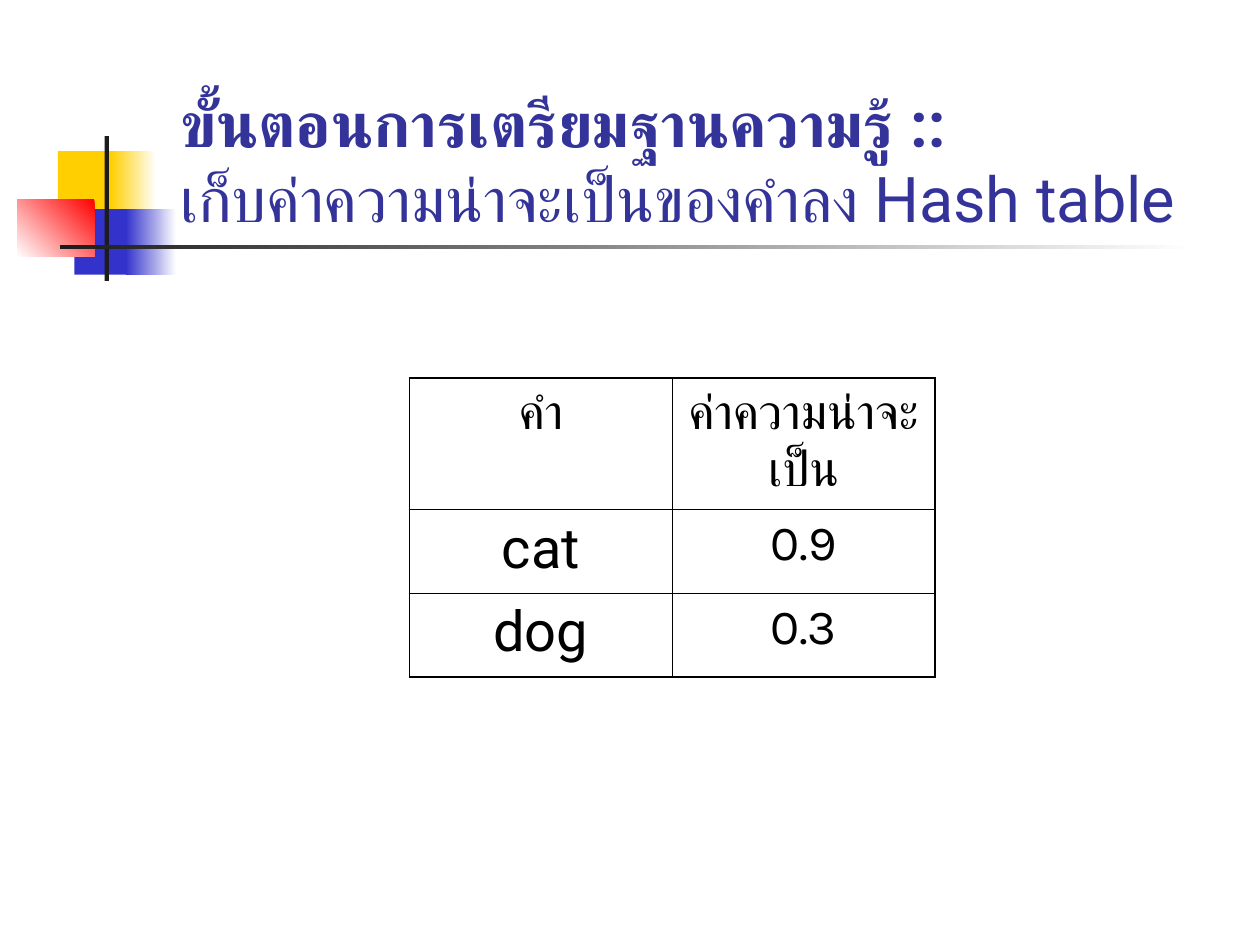
"""Build a slide on storing word probabilities in a hash table."""
from dataclasses import dataclass

from lxml import etree
from pptx import Presentation
from pptx.dml.color import RGBColor
from pptx.enum.shapes import MSO_SHAPE
from pptx.enum.text import MSO_ANCHOR, MSO_AUTO_SIZE, PP_ALIGN
from pptx.oxml.ns import qn
from pptx.util import Inches, Pt

RECTANGLE = MSO_SHAPE.RECTANGLE
LEFT, CENTER = PP_ALIGN.LEFT, PP_ALIGN.CENTER
BOTTOM, TOP = MSO_ANCHOR.BOTTOM, MSO_ANCHOR.TOP
NO_AUTOFIT = MSO_AUTO_SIZE.NONE
WIDTH, HEIGHT = Inches(10), Inches(7.5)
WHITE, YELLOW, BLUE, RED = "FFFFFF", "FFCF01", "3333CC", "FF0000"
DARK, BLACK, TITLE_BLUE = "1C1C1C", "000000", "333399"
OUTER_LINE, INNER_LINE = 1.08, 0.45


@dataclass(frozen=True)
class Box:
    """A rectangle given as shares of the slide's width and height."""
    left: float
    top: float
    width: float
    height: float

    def lengths(self) -> tuple[int, ...]:
        """Return the box as slide lengths."""
        return (round(self.left * WIDTH), round(self.top * HEIGHT),
                round(self.width * WIDTH), round(self.height * HEIGHT))


@dataclass(frozen=True)
class Block:
    """A decorative rectangle with one colour or a gradient of two."""
    box: Box
    colors: tuple[str, ...]
    angle: int = 180


@dataclass(frozen=True)
class Entry:
    """The text of a table cell with its font."""
    text: str
    font: str = "Karla"
    size: int = 28
    space_before: int = 7


BLOCKS = (
    Block(Box(0.046, 0.16, 0.048, 0.0693), (YELLOW,)),
    Block(Box(0.088, 0.16, 0.036, 0.0693), (WHITE, YELLOW)),
    Block(Box(0.059, 0.2213, 0.046, 0.0693), (BLUE,)),
    Block(Box(0.1, 0.2213, 0.04, 0.0693), (WHITE, BLUE)),
    Block(Box(0.0137, 0.2107, 0.0613, 0.0613), (RED, WHITE), 225),
    Block(Box(0.083, 0.144, 0.0035, 0.1533), (DARK,)),
    Block(Box(0.048, 0.2593, 0.9, 0.0045), (WHITE, DARK)),
)
TITLE_BOX = Box(0.133, 0.0893, 0.908, 0.1667)
TITLE_LINES = (("ขั้นตอนการเตรียมฐานความรู้ ::", True),
               ("เก็บค่าความน่าจะเป็นของคำลง Hash table", False))
TABLE_BOX = Box(0.325, 0.4, 0.417, 0.3167)
ROW_SHARES = (0.44, 0.28, 0.28)
ENTRIES = (
    (Entry("คำ"), Entry("ค่าความน่าจะเป็น")),
    (Entry("cat", "Roboto", 32, 8), Entry("0.9")),
    (Entry("dog", "Roboto", 32, 8), Entry("0.3")),
)


def color(value: str) -> RGBColor:
    """Turn a hex string into a colour."""
    return RGBColor.from_string(value)


def apply(target, values: dict) -> None:
    """Set attributes from a dict of format values."""
    for name, value in values.items():
        setattr(target, name, value)


def format_run(run, name: str, size: int, bold: bool, fill: str) -> None:
    """Format a run for both Latin and Thai letters."""
    apply(run.font, {"name": name, "size": Pt(size), "bold": bold})
    run.font.color.rgb = color(fill)
    properties = run.font._element
    etree.SubElement(properties, qn("a:cs")).set("typeface", name)


def draw_block(slide, block: Block) -> None:
    """Draw one decorative rectangle."""
    shape = slide.shapes.add_shape(RECTANGLE, *block.box.lengths())
    shape.shadow.inherit = False
    shape.line.fill.background()
    if len(block.colors) == 1:
        shape.fill.solid()
        shape.fill.fore_color.rgb = color(block.colors[0])
        return
    shape.fill.gradient()
    shape.fill.gradient_angle = block.angle
    for stop, value in zip(shape.fill.gradient_stops, block.colors):
        stop.color.rgb = color(value)


def write_title(slide) -> None:
    """Place and fill the title placeholder."""
    title = slide.shapes.title
    apply(title, dict(zip(("left", "top", "width", "height"), TITLE_BOX.lengths())))
    apply(title.text_frame, {"vertical_anchor": BOTTOM, "word_wrap": True,
                             "auto_size": NO_AUTOFIT})
    paragraph = title.text_frame.paragraphs[0]
    paragraph.alignment = LEFT
    for index, (text, bold) in enumerate(TITLE_LINES):
        if index:
            paragraph.add_line_break()
        run = paragraph.add_run()
        run.text = text
        format_run(run, "Roboto", 36, bold, TITLE_BLUE)


def draw_border(cell, side: str, width: float) -> None:
    """Give one side of a cell a solid black line."""
    properties = cell._tc.get_or_add_tcPr()
    line = etree.SubElement(properties, qn(f"a:ln{side}"), w=str(Pt(width)))
    fill = etree.SubElement(line, qn("a:solidFill"))
    etree.SubElement(fill, qn("a:srgbClr"), val=BLACK)


def fill_cell(cell, entry: Entry, outer_sides: dict[str, bool]) -> None:
    """Write a cell's text and draw its borders."""
    for side, outer in outer_sides.items():
        draw_border(cell, side, OUTER_LINE if outer else INNER_LINE)
    cell.fill.background()
    apply(cell, {"vertical_anchor": TOP, "margin_left": Inches(0.1),
                 "margin_right": Inches(0.1), "margin_top": Inches(0.05),
                 "margin_bottom": Inches(0.05)})
    paragraph = cell.text_frame.paragraphs[0]
    apply(paragraph, {"alignment": CENTER, "space_before": Pt(entry.space_before)})
    run = paragraph.add_run()
    run.text = entry.text
    format_run(run, entry.font, entry.size, False, BLACK)


def draw_table(slide) -> None:
    """Draw the table of words and probabilities."""
    rows, columns = len(ENTRIES), len(ENTRIES[0])
    left, top, width, height = TABLE_BOX.lengths()
    table = slide.shapes.add_table(rows, columns, left, top, width, height).table
    apply(table, {"first_row": False, "horz_banding": False})
    for column in table.columns:
        column.width = width // columns
    for row, share in zip(table.rows, ROW_SHARES):
        row.height = round(height * share)
    for row_index, entries in enumerate(ENTRIES):
        for column_index, entry in enumerate(entries):
            outer_sides = {"L": column_index == 0, "R": column_index == columns - 1,
                           "T": row_index == 0, "B": row_index == rows - 1}
            fill_cell(table.cell(row_index, column_index), entry, outer_sides)


def main() -> None:
    """Build and save the presentation."""
    presentation = Presentation()
    apply(presentation, {"slide_width": WIDTH, "slide_height": HEIGHT})
    slide = presentation.slides.add_slide(presentation.slide_layouts[5])
    for block in BLOCKS:
        draw_block(slide, block)
    write_title(slide)
    draw_table(slide)
    presentation.save("out.pptx")


if __name__ == "__main__":
    main()
